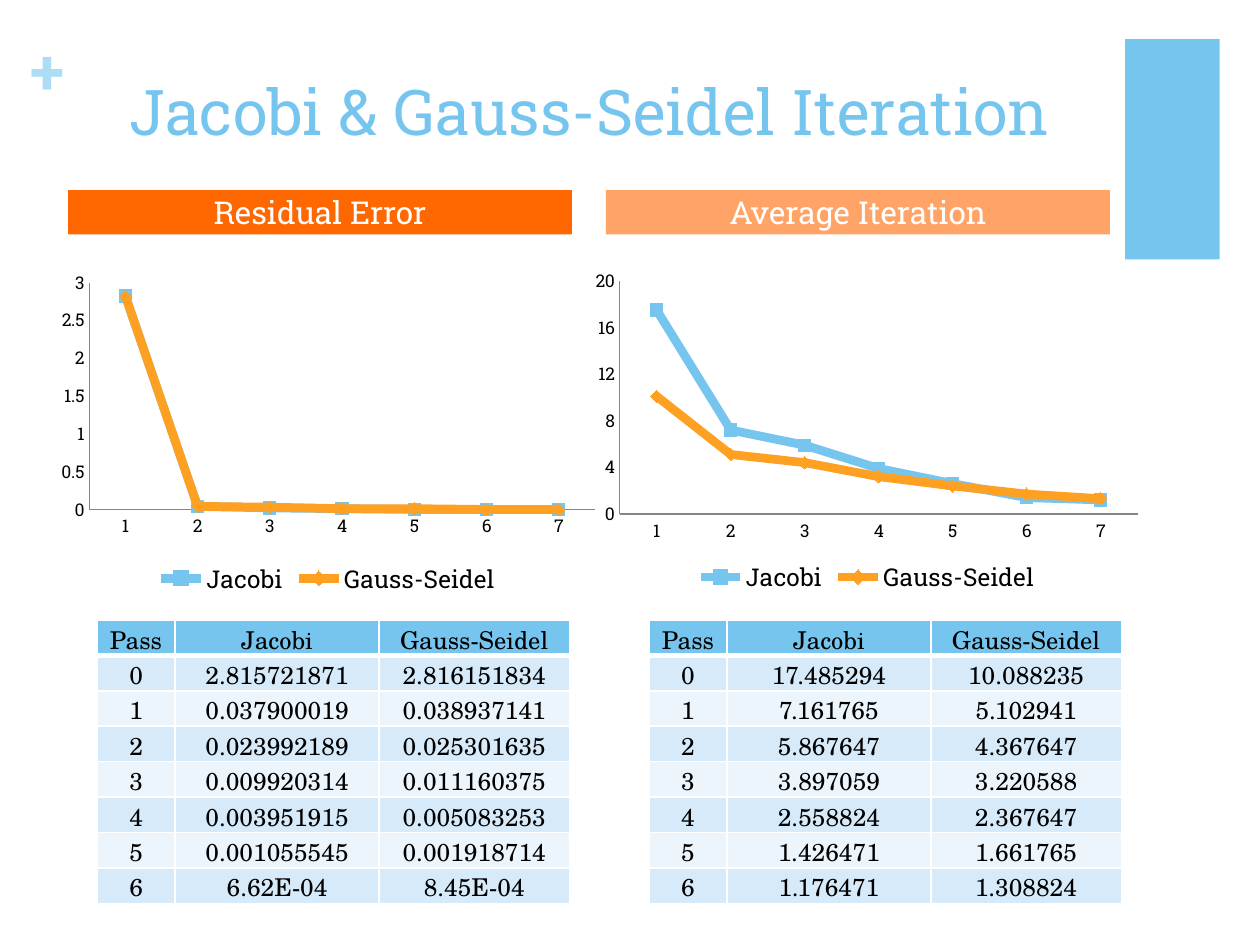
from dataclasses import dataclass

from lxml.etree import SubElement
from pptx import Presentation
from pptx.chart.data import CategoryChartData
from pptx.dml.color import RGBColor
from pptx.enum.chart import XL_CHART_TYPE, XL_LEGEND_POSITION, XL_MARKER_STYLE, XL_TICK_MARK
from pptx.enum.shapes import MSO_SHAPE
from pptx.enum.text import MSO_ANCHOR, PP_ALIGN
from pptx.oxml.ns import qn
from pptx.util import Inches, Pt

COLUMNS, ROWS = 100, 75
SLIDE_WIDTH, SLIDE_HEIGHT = Inches(10), Inches(7.5)
METHODS = ("Jacobi", "Gauss-Seidel")


@dataclass(frozen=True)
class Theme:
    sky: str = "76C5EF"
    pale_sky: str = "ADDCF5"
    amber: str = "FEA022"
    orange: str = "FF6700"
    peach: str = "FFA466"
    bands: tuple = ("D6EAF9", "ECF5FC")
    axis: str = "868686"
    ink: str = "000000"
    white: str = "FFFFFF"
    slab: str = "Roboto Slab"
    schola: str = "TeX Gyre Schola"
    title_size: int = 36
    heading_size: int = 18
    body_size: int = 14
    axis_size: int = 10


THEME = Theme()


@dataclass(frozen=True)
class Box:
    left: float
    top: float
    width: float
    height: float

    def inner(self, left, top, width, height):
        return Box(self.left + left, self.top + top, width, height)

    def place(self):
        column, row = SLIDE_WIDTH / COLUMNS, SLIDE_HEIGHT / ROWS
        return (round(self.left * column), round(self.top * row),
                round(self.width * column), round(self.height * row))


@dataclass(frozen=True)
class Study:
    heading: str
    color: str
    results: tuple
    digits: int
    axis_max: float
    axis_step: float
    chart_area: tuple
    plot_shares: tuple
    table_area: tuple


def rgb(color):
    return RGBColor.from_string(color)


def style_font(font, size, color=THEME.ink, face=THEME.slab, bold=False):
    font.size, font.name, font.bold = Pt(size), face, bold
    font.color.rgb = rgb(color)


def write(frame, text, align=PP_ALIGN.CENTER, anchor=MSO_ANCHOR.TOP,
          margins=(0.1, 0.05, 0.1, 0.05), **font):
    frame.word_wrap = True
    frame.vertical_anchor = anchor
    (frame.margin_left, frame.margin_top,
     frame.margin_right, frame.margin_bottom) = map(Inches, margins)
    paragraph = frame.paragraphs[0]
    paragraph.alignment = align
    run = paragraph.add_run()
    run.text = text
    style_font(run.font, **font)


def add_block(slide, box, color):
    block = slide.shapes.add_shape(MSO_SHAPE.RECTANGLE, *box.place())
    block.shadow.inherit = False
    block.fill.solid()
    block.fill.fore_color.rgb = rgb(color)
    block.line.fill.background()
    return block


def add_title_region(slide, box):
    add_block(slide, box.inner(86.9, 0.6, 7.5, 17.5), THEME.sky)
    plus = slide.shapes.add_textbox(*box.inner(0, 0, 2.9, 6.1).place())
    write(plus.text_frame, "+", align=PP_ALIGN.LEFT, margins=(0, 0, 0, 0),
          size=THEME.title_size, color=THEME.pale_sky, bold=True)
    title = slide.shapes.add_textbox(*box.inner(3.1, 2.8, 82.6, 12.2).place())
    write(title.text_frame, "Jacobi & Gauss-Seidel Iteration",
          size=THEME.title_size, color=THEME.sky)


def set_border(cell, side, points):
    properties = cell._tc.get_or_add_tcPr()
    line = SubElement(properties, qn(f"a:{side}"), w=str(Pt(points)))
    SubElement(SubElement(line, qn("a:solidFill")), qn("a:srgbClr"), val=THEME.white)


def add_results_table(slide, box, results):
    rows = [("Pass", *METHODS)]
    rows += [(str(number), *values) for number, values in enumerate(results)]
    table = slide.shapes.add_table(len(rows), len(rows[0]), *box.place()).table
    table.first_row = table.horz_banding = False
    for column, width in zip(table.columns, (0.62, 1.62, 1.51)):
        column.width = Inches(width)
    for row, values in enumerate(rows):
        for column, value in enumerate(values):
            cell = table.cell(row, column)
            for side in ("lnL", "lnR", "lnT", "lnB"):
                set_border(cell, side, 3 if row == 0 and side == "lnB" else 1)
            cell.fill.solid()
            cell.fill.fore_color.rgb = rgb(THEME.bands[(row - 1) % 2] if row else THEME.sky)
            cell.margin_left = cell.margin_top = cell.margin_right = Inches(0.01)
            cell.margin_bottom = 0
            cell.vertical_anchor = MSO_ANCHOR.BOTTOM
            paragraph = cell.text_frame.paragraphs[0]
            paragraph.alignment = PP_ALIGN.CENTER
            run = paragraph.add_run()
            run.text = value
            style_font(run.font, THEME.body_size, face=THEME.schola)


def fix_plot_area(chart, shares):
    plot_area = chart._chartSpace.chart.plotArea
    for old_layout in plot_area.findall(qn("c:layout")):
        plot_area.remove(old_layout)
    layout = SubElement(plot_area, qn("c:layout"))
    plot_area.insert(0, layout)
    manual = SubElement(layout, qn("c:manualLayout"))
    settings = [("layoutTarget", "inner"), ("xMode", "edge"), ("yMode", "edge")]
    for name, value in settings + list(zip("xywh", shares)):
        SubElement(manual, qn(f"c:{name}"), val=str(value))


def add_convergence_chart(slide, box, study):
    data = CategoryChartData()
    data.categories = [str(number) for number in range(1, len(study.results) + 1)]
    for method, values in zip(METHODS, zip(*study.results)):
        data.add_series(method, [round(float(value), study.digits) for value in values])
    chart = slide.shapes.add_chart(XL_CHART_TYPE.LINE_MARKERS, *box.place(), data).chart
    chart.has_title = False
    style_font(chart.font, THEME.axis_size)
    chart.has_legend = True
    chart.legend.position = XL_LEGEND_POSITION.BOTTOM
    chart.legend.include_in_layout = False
    style_font(chart.legend.font, THEME.body_size)
    for axis in (chart.category_axis, chart.value_axis):
        axis.has_major_gridlines = False
        axis.major_tick_mark = axis.minor_tick_mark = XL_TICK_MARK.NONE
        axis.format.line.color.rgb = rgb(THEME.axis)
    scale = chart.value_axis
    scale.minimum_scale, scale.maximum_scale = 0, study.axis_max
    scale.major_unit = study.axis_step
    chart.plots[0].vary_by_categories = False
    looks = ((THEME.sky, XL_MARKER_STYLE.SQUARE), (THEME.amber, XL_MARKER_STYLE.DIAMOND))
    for series, (color, marker) in zip(chart.plots[0].series, looks):
        series.smooth = False
        series.format.line.width = Pt(5)
        series.format.line.color.rgb = rgb(color)
        series.marker.style, series.marker.size = marker, 7
        series.marker.format.fill.solid()
        series.marker.format.fill.fore_color.rgb = rgb(color)
        series.marker.format.line.color.rgb = rgb(color)
    fix_plot_area(chart, study.plot_shares)


def add_study_panel(slide, box, study):
    heading = add_block(slide, box.inner(0, 0, box.width, 3.5), study.color)
    write(heading.text_frame, study.heading, anchor=MSO_ANCHOR.MIDDLE,
          margins=(0.1, 0, 0.1, 0), size=THEME.heading_size, color=THEME.white)
    add_results_table(slide, box.inner(*study.table_area), study.results)
    add_convergence_chart(slide, box.inner(*study.chart_area), study)


RESIDUAL_ERROR = Study(
    "Residual Error", THEME.orange,
    (("2.815721871", "2.816151834"), ("0.037900019", "0.038937141"),
     ("0.023992189", "0.025301635"), ("0.009920314", "0.011160375"),
     ("0.003951915", "0.005083253"), ("0.001055545", "0.001918714"),
     ("6.62E-04", "8.45E-04")),
    2, 3, 0.5, (-1.4, 6, 44.1, 26.5), (0.07, 0.05, 0.91, 0.68), (2.3, 34.1, 37.6, 22.5))
AVERAGE_ITERATION = Study(
    "Average Iteration", THEME.peach,
    (("17.485294", "10.088235"), ("7.161765", "5.102941"),
     ("5.867647", "4.367647"), ("3.897059", "3.220588"),
     ("2.558824", "2.367647"), ("1.426471", "1.661765"),
     ("1.176471", "1.308824")),
    1, 20, 4, (-1.6, 5.6, 44.7, 26.8), (0.06, 0.06, 0.92, 0.69), (3.4, 34.1, 37.6, 22.5))


def main():
    deck = Presentation()
    deck.slide_width, deck.slide_height = SLIDE_WIDTH, SLIDE_HEIGHT
    slide = deck.slides.add_slide(deck.slide_layouts[6])
    add_title_region(slide, Box(2.4, 2.5, 94.4, 18.1))
    for index, study in enumerate((RESIDUAL_ERROR, AVERAGE_ITERATION)):
        add_study_panel(slide, Box(5.4 + 42.7 * index, 15.1, 40, 56.6), study)
    deck.save("out.pptx")


if __name__ == "__main__":
    main()
